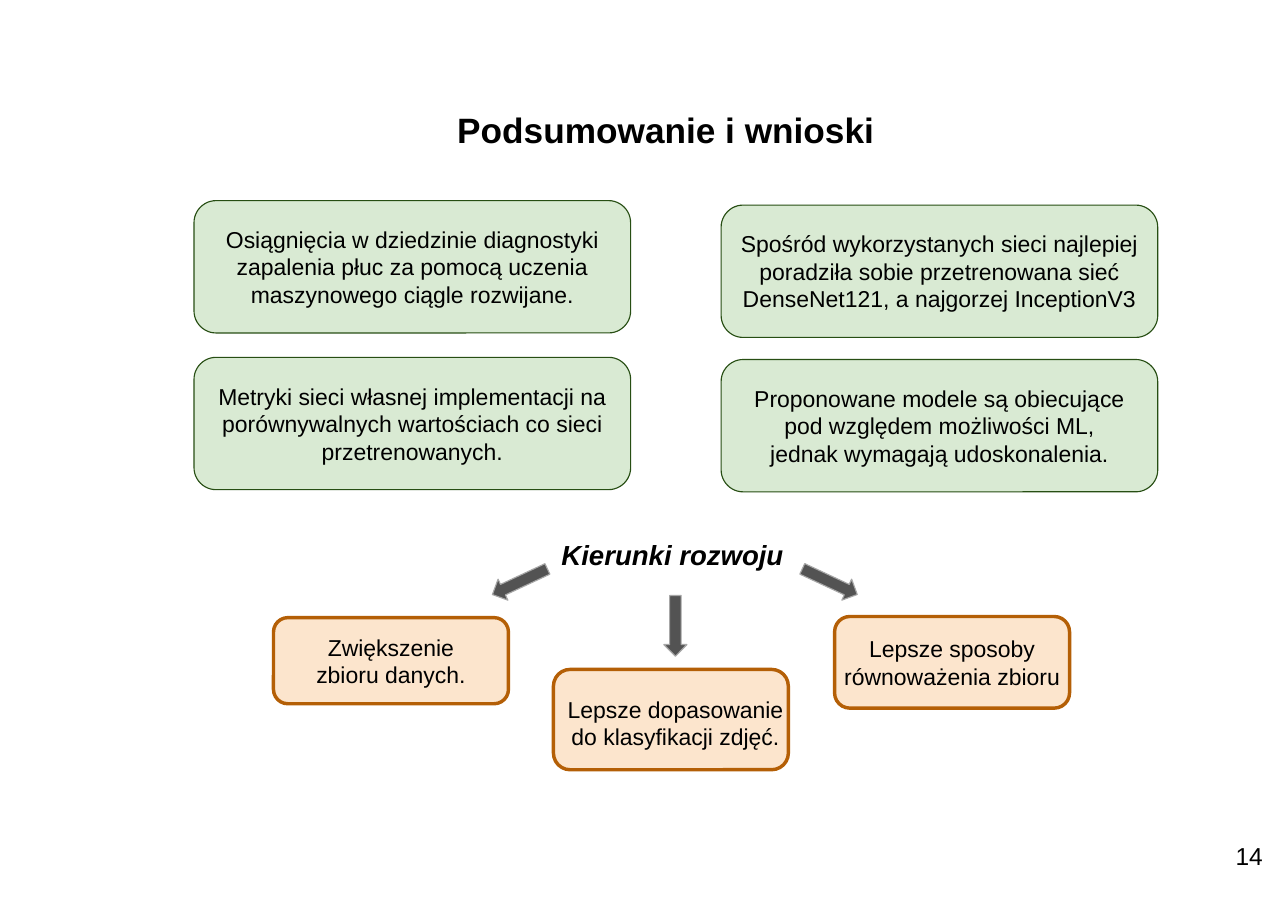
from dataclasses import dataclass

from pptx import Presentation
from pptx.dml.color import RGBColor
from pptx.enum.shapes import MSO_SHAPE
from pptx.enum.text import MSO_ANCHOR, MSO_AUTO_SIZE, PP_ALIGN
from pptx.util import Pt


@dataclass(frozen=True)
class CardStyle:
    fill: str
    line: str
    line_width: float


@dataclass(frozen=True)
class Theme:
    font: str = "Arial"
    text: str = "000000"
    title_size: int = 23
    heading_size: int = 18
    page_size: int = 16
    body_size: int = 15
    conclusion: CardStyle = CardStyle("D9EAD3", "274E13", 0.75)
    direction: CardStyle = CardStyle("FCE5CD", "B45F06", 2.25)
    arrow: CardStyle = CardStyle("535353", "A7A7A7", 0.75)


THEME = Theme()

LEFT_COLUMN, RIGHT_COLUMN = 126.7, 470.9
CONCLUSION_WIDTH, CONCLUSION_HEIGHT = 285.1, 86.4
DIRECTION_WIDTH = 153.4
ARROW_WIDTH, ARROW_HEIGHT = 39.6, 15.1

CONCLUSIONS = [
    (LEFT_COLUMN, 131, 4,
     "Osiągnięcia w dziedzinie diagnostyki zapalenia płuc za pomocą uczenia "
     "maszynowego ciągle rozwijane."),
    (RIGHT_COLUMN, 133.9, 4,
     "Spośród wykorzystanych sieci najlepiej poradziła sobie przetrenowana sieć "
     "DenseNet121, a najgorzej InceptionV3"),
    (LEFT_COLUMN, 233.3, 4,
     "Metryki sieci własnej implementacji na porównywalnych wartościach co sieci "
     "przetrenowanych."),
    (RIGHT_COLUMN, 234.7, 16,
     "Proponowane modele są obiecujące pod względem możliwości ML, jednak "
     "wymagają udoskonalenia."),
]

DIRECTIONS = [
    (178.6, 403.2, 56.2, (14, 0, 14, 0), "Zwiększenie zbioru danych."),
    (361.4, 437, 65.5, (6, 4, 0, 0), "Lepsze dopasowanie do klasyfikacji zdjęć."),
    (545, 402.5, 59.8, (0, 0, 0, 0), "Lepsze sposoby równoważenia zbioru"),
]

ARROWS = [(319.7, 372.2, 155), (421.2, 401, 90), (522, 372.2, 25)]


def write_text(shape, text, size, margins, alignment=PP_ALIGN.CENTER,
               bold=False, italic=False):
    frame = shape.text_frame
    frame.word_wrap = True
    frame.auto_size = MSO_AUTO_SIZE.NONE
    frame.vertical_anchor = MSO_ANCHOR.MIDDLE
    (frame.margin_left, frame.margin_top,
     frame.margin_right, frame.margin_bottom) = map(Pt, margins)
    frame.text = text
    paragraph = frame.paragraphs[0]
    paragraph.alignment = alignment
    paragraph.font.name = THEME.font
    paragraph.font.size = Pt(size)
    paragraph.font.bold = bold
    paragraph.font.italic = italic
    paragraph.font.color.rgb = RGBColor.from_string(THEME.text)


def add_filled_shape(slide, kind, box, style):
    shape = slide.shapes.add_shape(kind, *map(Pt, box))
    shape.shadow.inherit = False
    shape.fill.solid()
    shape.fill.fore_color.rgb = RGBColor.from_string(style.fill)
    shape.line.color.rgb = RGBColor.from_string(style.line)
    shape.line.width = Pt(style.line_width)
    return shape


def add_card(slide, box, style, text, margins):
    card = add_filled_shape(slide, MSO_SHAPE.ROUNDED_RECTANGLE, box, style)
    write_text(card, text, THEME.body_size, margins)


def add_arrow(slide, left, top, rotation):
    box = (left, top, ARROW_WIDTH, ARROW_HEIGHT)
    arrow = add_filled_shape(slide, MSO_SHAPE.RIGHT_ARROW, box, THEME.arrow)
    arrow.rotation = rotation


def add_label(slide, box, text, size, margin, **formatting):
    label = slide.shapes.add_textbox(*map(Pt, box))
    write_text(label, text, size, (margin,) * 4, **formatting)


def set_title(slide, box, text):
    title = slide.shapes.title
    title.left, title.top, title.width, title.height = map(Pt, box)
    write_text(title, text, THEME.title_size, (7.2,) * 4, bold=True)


def main():
    presentation = Presentation()
    presentation.slide_width = Pt(841)
    presentation.slide_height = Pt(594.7)
    slide = presentation.slides.add_slide(presentation.slide_layouts[5])

    set_title(slide, (196.6, 63.4, 476.6, 42.5), "Podsumowanie i wnioski")
    for left, top, padding, text in CONCLUSIONS:
        box = (left, top, CONCLUSION_WIDTH, CONCLUSION_HEIGHT)
        add_card(slide, box, THEME.conclusion, text, (padding, 0, padding, 0))

    add_label(slide, (357.8, 344.2, 162.7, 36), "Kierunki rozwoju",
              THEME.heading_size, 7.2, bold=True, italic=True)
    for left, top, height, margins, text in DIRECTIONS:
        box = (left, top, DIRECTION_WIDTH, height)
        add_card(slide, box, THEME.direction, text, margins)
    for left, top, rotation in ARROWS:
        add_arrow(slide, left, top, rotation)

    add_label(slide, (801.4, 545, 27.4, 27.4), "14", THEME.page_size, 4.3,
              alignment=PP_ALIGN.RIGHT)
    presentation.save("out.pptx")


if __name__ == "__main__":
    main()
